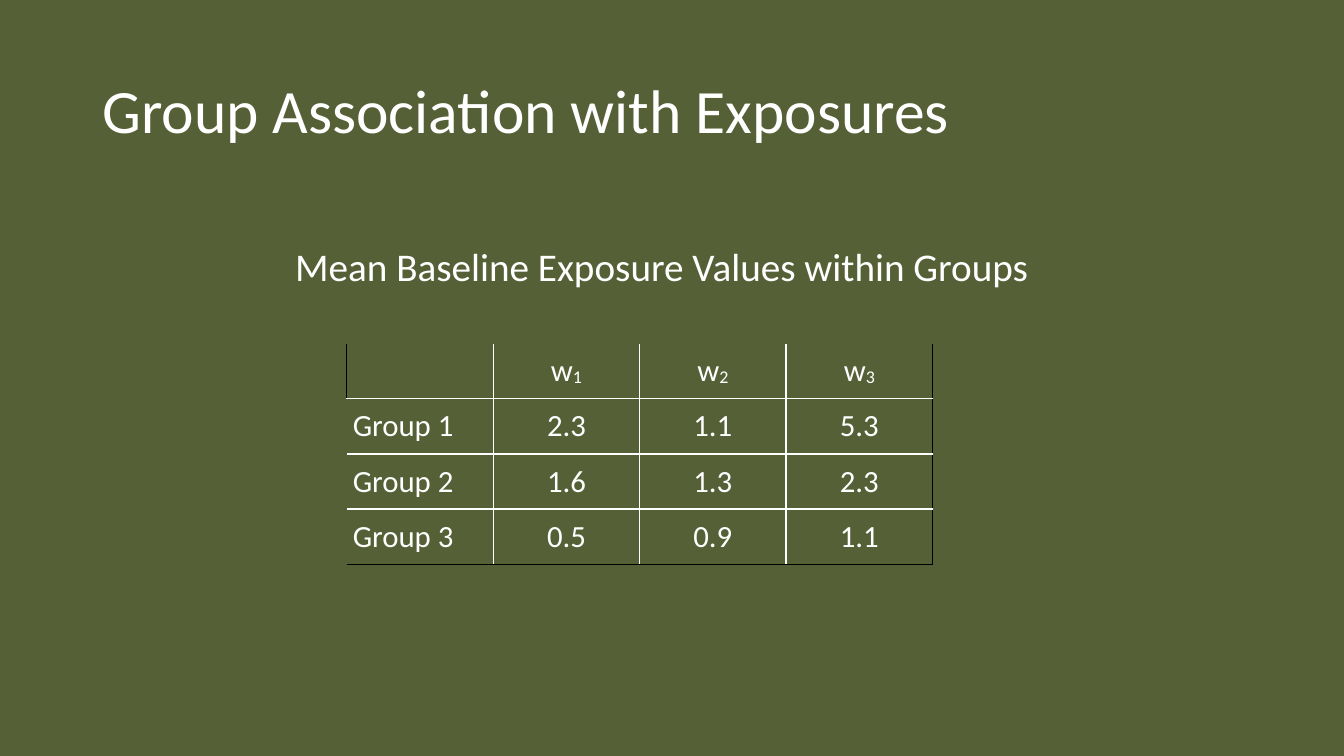
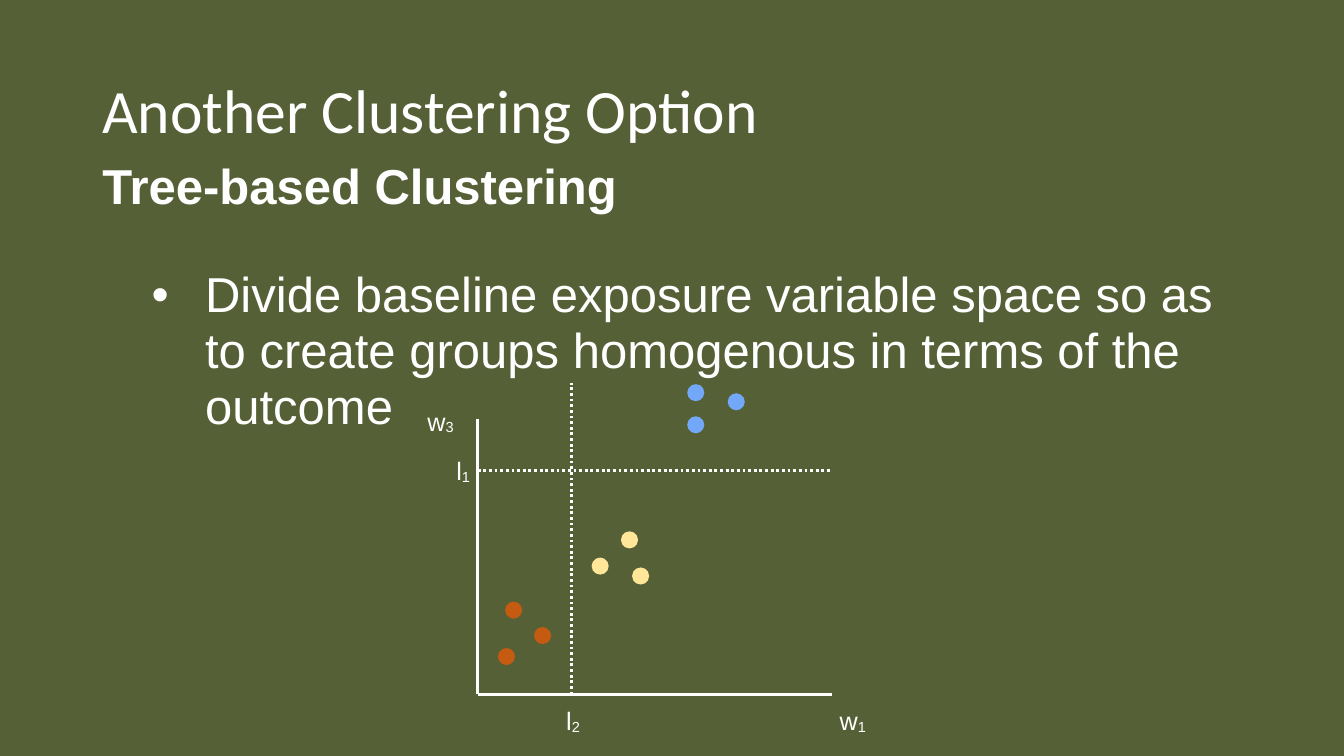
"""Build two slides on grouping baseline exposures: a table of means and a tree-based split."""
from lxml.etree import SubElement
from pptx import Presentation
from pptx.dml.color import RGBColor
from pptx.enum.dml import MSO_LINE
from pptx.enum.shapes import MSO_CONNECTOR, MSO_SHAPE
from pptx.enum.text import MSO_ANCHOR, MSO_AUTO_SIZE, PP_ALIGN
from pptx.oxml.ns import qn
from pptx.util import Cm, Pt

COLORS = {
    "background": "566036",
    "text": "FFFFFF",
    "edge": "000000",
    "low": "C55A11",
    "middle": "FFE699",
    "high": "73A7F7",
}
STYLES = {
    "title": {"name": "Calibri", "size": Pt(44), "bold": False},
    "caption": {"name": "Calibri", "size": Pt(28), "bold": False},
    "cell": {"name": "Calibri", "size": Pt(22), "bold": False},
    "heading": {"name": "Arial", "size": Pt(35), "bold": True},
    "bullet": {"name": "Arial", "size": Pt(35), "bold": False},
    "label": {"name": "Arial", "size": Pt(18), "bold": False},
}
INSET = Cm(0.15)
MARGINS = {f"margin_{side}": INSET for side in ("left", "right", "top", "bottom")}
LABEL_FRAME = {
    **MARGINS,
    "vertical_anchor": MSO_ANCHOR.MIDDLE,
    "word_wrap": False,
    "auto_size": MSO_AUTO_SIZE.SHAPE_TO_FIT_TEXT,
}
CONTENT_LEFT, CONTENT_WIDTH = 2.33, 29.21
DOT_SIZE = 0.43
ROWS = [
    [("", ""), ("w", "1"), ("w", "2"), ("w", "3")],
    [("Group 1", ""), ("2.3", ""), ("1.1", ""), ("5.3", "")],
    [("Group 2", ""), ("1.6", ""), ("1.3", ""), ("2.3", "")],
    [("Group 3", ""), ("0.5", ""), ("0.9", ""), ("1.1", "")],
]
DOTS = {
    "high": [(17.32, 9.68), (18.34, 9.91), (17.32, 10.49)],
    "middle": [(15.65, 13.39), (14.91, 14.05), (15.93, 14.3)],
    "low": [(12.73, 15.16), (13.46, 15.8), (12.55, 16.33)],
}


def color(name):
    return RGBColor.from_string(COLORS[name])


def apply_format(target, values):
    for name, value in values.items():
        setattr(target, name, value)


def write(para, text, style, subscript=""):
    for part, baseline in ((text, None), (subscript, "-6000")):
        if part:
            span = para.add_run()
            span.text = part
            apply_format(span.font, STYLES[style])
            span.font.color.rgb = color("text")
            if baseline:
                span.font._element.set("baseline", baseline)


def add_text_box(page, left, top, width, height, frame_format):
    box = page.shapes.add_textbox(Cm(left), Cm(top), Cm(width), Cm(height))
    apply_format(box.text_frame, frame_format)
    return box.text_frame


def add_label(page, left, top, width, height, text, style="label", subscript=""):
    frame = add_text_box(page, left, top, width, height, LABEL_FRAME)
    write(frame.paragraphs[0], text, style, subscript)


def add_page(deck, title):
    page = deck.slides.add_slide(deck.slide_layouts[6])
    frame = add_text_box(page, CONTENT_LEFT, 1.02, CONTENT_WIDTH, 3.68,
                         {"word_wrap": True, "vertical_anchor": MSO_ANCHOR.MIDDLE})
    frame.paragraphs[0].line_spacing = 0.9
    write(frame.paragraphs[0], title, "title")
    return page


def set_borders(cell, borders):
    properties = cell._tc.get_or_add_tcPr()
    for tag, name in borders.items():
        width = Pt(0.5) if name == "edge" else Pt(1)
        line = SubElement(properties, qn(f"a:{tag}"), w=str(width))
        if name:
            fill = SubElement(line, qn("a:solidFill"))
            SubElement(fill, qn("a:srgbClr"), val=COLORS[name])
        else:
            SubElement(line, qn("a:noFill"))


def add_table(page, left, top, column_width, row_height, rows):
    last_row, last_column = len(rows) - 1, len(rows[0]) - 1
    table = page.shapes.add_table(
        len(rows), len(rows[0]), Cm(left), Cm(top),
        Cm(column_width * len(rows[0])), Cm(row_height * len(rows))).table
    apply_format(table, {"first_row": False, "horz_banding": False})
    for column in table.columns:
        column.width = Cm(column_width)
    for row_index, row in enumerate(rows):
        table.rows[row_index].height = Cm(row_height)
        for column_index, (text, subscript) in enumerate(row):
            cell = table.cell(row_index, column_index)
            apply_format(cell, {**MARGINS, "vertical_anchor": MSO_ANCHOR.MIDDLE})
            para = cell.text_frame.paragraphs[0]
            para.alignment = PP_ALIGN.CENTER if column_index else PP_ALIGN.LEFT
            write(para, text, "cell", subscript)
            outer_left = None if row_index else "edge"
            set_borders(cell, {
                "lnL": "text" if column_index else outer_left,
                "lnR": "text" if column_index < last_column else "edge",
                "lnT": "text" if row_index else None,
                "lnB": "text" if row_index < last_row else "edge",
            })
            cell.fill.background()


def add_line(page, start, end, dash=None):
    line = page.shapes.add_connector(
        MSO_CONNECTOR.STRAIGHT, *(Cm(value) for value in (*start, *end)))
    apply_format(line.line, {"width": Pt(2), "dash_style": dash})
    line.line.color.rgb = color("text")
    SubElement(line._element.spPr, qn("a:effectLst"))


def add_dot(page, left, top, name):
    dot = page.shapes.add_shape(
        MSO_SHAPE.OVAL, Cm(left), Cm(top), Cm(DOT_SIZE), Cm(DOT_SIZE))
    dot.shadow.inherit = False
    dot.fill.solid()
    dot.fill.fore_color.rgb = color(name)
    dot.line.fill.background()


def add_body(page, heading, bullet):
    frame = add_text_box(page, CONTENT_LEFT, 3.91, CONTENT_WIDTH, 12.09, {"word_wrap": True})
    first, second = frame.paragraphs[0], frame.add_paragraph()
    first.line_spacing = 0.95
    write(first, heading, "heading")
    apply_format(second, {"line_spacing": 0.95, "space_before": Pt(37)})
    properties = second._p.get_or_add_pPr()
    properties.set("marL", str(Cm(2.59)))
    properties.set("indent", str(Cm(-1.35)))
    SubElement(properties, qn("a:buFont"), typeface="Arial")
    SubElement(properties, qn("a:buChar"), char="•")
    write(second, bullet, "bullet")


def add_split_plot(page):
    left, bottom, right = 12.04, 17.5, 20.96
    split_x, split_y = 14.4, 11.86
    add_line(page, (left, bottom), (left, 10.57))
    add_line(page, (left, bottom), (right, bottom))
    add_line(page, (left, split_y), (right, split_y), MSO_LINE.ROUND_DOT)
    add_line(page, (split_x, bottom), (split_x, 9.65), MSO_LINE.ROUND_DOT)
    for name, places in DOTS.items():
        for place in places:
            add_dot(page, *place, name)
    for x, y, width, text, subscript in [
        (21.01, 17.63, 0.99, "w", "1"),
        (10.62, 10.08, 0.99, "w", "3"),
        (14.12, 17.63, 0.66, "l", "2"),
        (11.35, 11.33, 0.66, "l", "1"),
    ]:
        add_label(page, x, y, width, 1.07, text, subscript=subscript)


def main():
    deck = Presentation()
    apply_format(deck, {"slide_width": Cm(33.87), "slide_height": Cm(19.05)})
    background = deck.slide_master.background.fill
    background.solid()
    background.fore_color.rgb = color("background")

    page = add_page(deck, "Group Association with Exposures")
    add_table(page, 8.74, 8.66, 3.69, 1.39, ROWS)
    add_label(page, 7.29, 5.97, 18.97, 1.47,
              "Mean Baseline Exposure Values within Groups", "caption")

    page = add_page(deck, "Another Clustering Option")
    add_body(page, "Tree-based Clustering",
             "Divide baseline exposure variable space so as to create groups "
             "homogenous in terms of the outcome")
    add_split_plot(page)
    deck.save("out.pptx")


if __name__ == "__main__":
    main()
